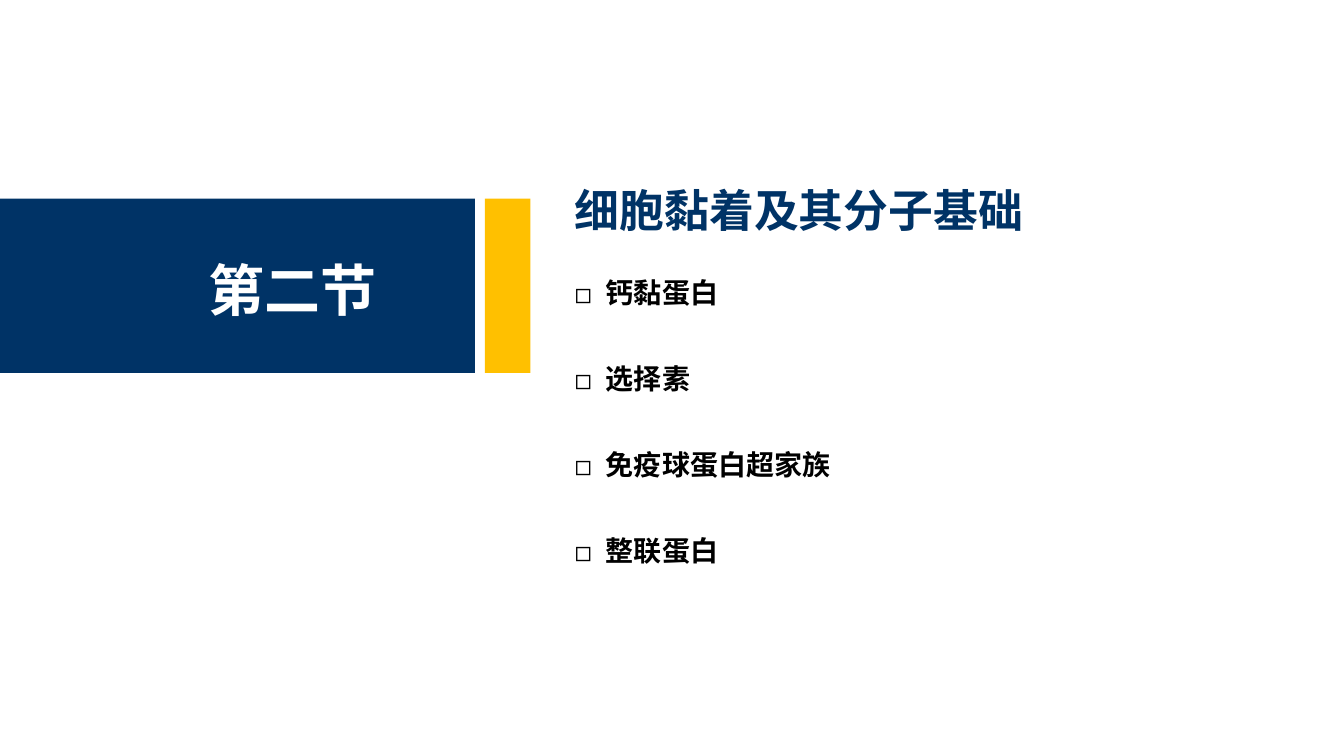
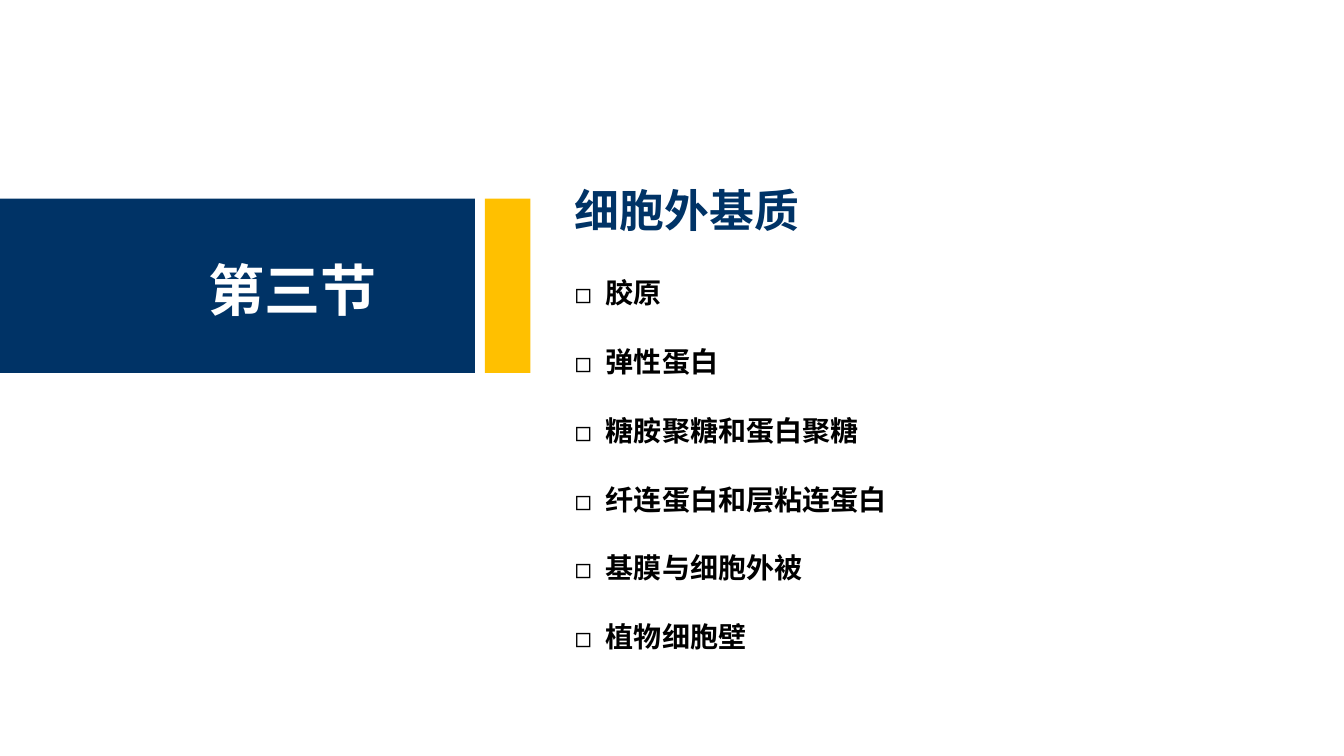
from lxml.etree import SubElement
from pptx import Presentation
from pptx.dml.color import RGBColor
from pptx.enum.shapes import MSO_SHAPE
from pptx.enum.text import MSO_ANCHOR, MSO_AUTO_SIZE, PP_ALIGN
from pptx.oxml.ns import qn
from pptx.util import Inches, Pt

COLORS = {"navy": "003366", "gold": "FFC000", "white": "FFFFFF", "black": "000000"}
FONT = "Noto Sans CJK SC"
LINE_RATIO = 1.3
ITEM_SIZE = 20
BULLET_INDENT = Inches(0.31)
TEXT_LEFT = 5.6
TEXT_WIDTH = 5.6
LIST_TOP = 2.66

SECTIONS = [
    ("第二节", "细胞黏着及其分子基础", 0.853,
     ["钙黏蛋白", "选择素", "免疫球蛋白超家族", "整联蛋白"]),
    ("第三节", "细胞外基质", 0.682,
     ["胶原", "弹性蛋白", "糖胺聚糖和蛋白聚糖", "纤连蛋白和层粘连蛋白",
      "基膜与细胞外被", "植物细胞壁"]),
]


def place(shape, left, top, width, height):
    shape.left, shape.top = Inches(left), Inches(top)
    shape.width, shape.height = Inches(width), Inches(height)


def add_band(page, left, width, color):
    band = page.shapes.add_shape(
        MSO_SHAPE.RECTANGLE, Inches(left), Inches(1.97), Inches(width), Inches(1.73))
    band.shadow.inherit = False
    band.fill.solid()
    band.fill.fore_color.rgb = RGBColor.from_string(COLORS[color])
    band.line.fill.background()


def format_frame(frame, size, color):
    frame.word_wrap = True
    frame.auto_size = MSO_AUTO_SIZE.NONE
    frame.vertical_anchor = MSO_ANCHOR.TOP
    for para in frame.paragraphs:
        para.alignment = PP_ALIGN.LEFT
        para.line_spacing = Pt(size * LINE_RATIO)
        para.space_before = Pt(0)
        for span in para.runs:
            span.font.size = Pt(size)
            span.font.bold = True
            span.font.name = FONT
            span.font.color.rgb = RGBColor.from_string(COLORS[color])
            SubElement(span.font._element, qn("a:ea"), typeface=FONT)


def add_bullet(para):
    properties = para._p.get_or_add_pPr()
    properties.set("marL", str(BULLET_INDENT))
    properties.set("indent", str(-BULLET_INDENT))
    SubElement(properties, qn("a:buFont"), typeface=FONT)
    SubElement(properties, qn("a:buChar"), char="◻")


def fill_list(body, items, pitch):
    place(body, TEXT_LEFT, LIST_TOP, TEXT_WIDTH, pitch * len(items))
    frame = body.text_frame
    frame.text = "\n".join(items)
    for para in frame.paragraphs:
        add_bullet(para)
    format_frame(frame, ITEM_SIZE, "black")
    for para in frame.paragraphs[1:]:
        para.space_before = Pt(round(pitch * 72 - ITEM_SIZE * LINE_RATIO, 1))


def add_section(deck, number, heading, pitch, items):
    page = deck.slides.add_slide(deck.slide_layouts[1])
    add_band(page, 0, 4.71, "navy")
    add_band(page, 4.81, 0.45, "gold")

    label = page.shapes.add_textbox(
        Inches(1.97), Inches(2.43), Inches(1.88), Inches(0.77))
    label.text_frame.text = number
    format_frame(label.text_frame, 40, "white")

    title = page.shapes.title
    place(title, TEXT_LEFT, 1.72, TEXT_WIDTH, 0.64)
    title.text_frame.text = heading
    format_frame(title.text_frame, 32, "navy")

    fill_list(page.placeholders[1], items, pitch)


def main():
    deck = Presentation()
    deck.slide_width, deck.slide_height = Inches(13.33), Inches(7.5)
    for section in SECTIONS:
        add_section(deck, *section)
    deck.save("out.pptx")


if __name__ == "__main__":
    main()
